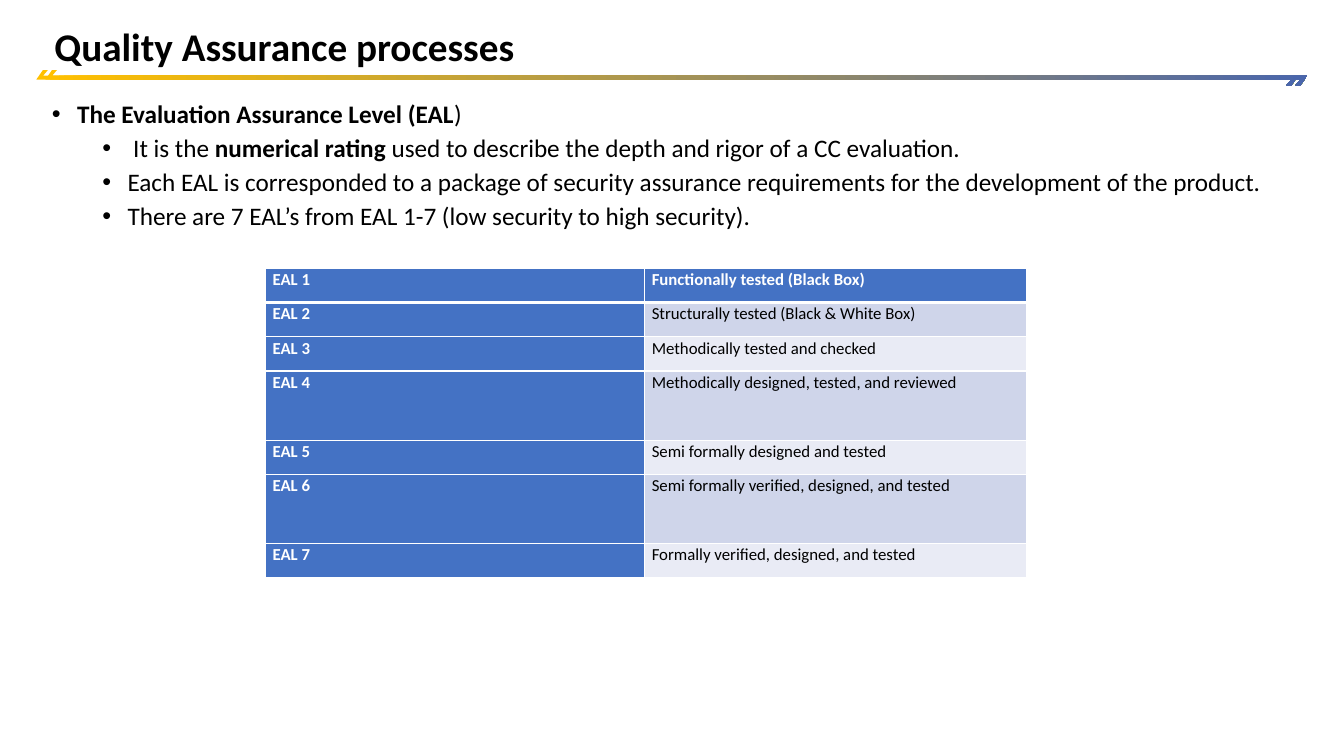
from lxml import etree
from pptx import Presentation, util as u
from pptx.dml.color import RGBColor
from pptx.enum import text
from pptx.oxml.ns import qn

TITLE = "Quality Assurance processes"
BULLETS = [
    (0, [("The Evaluation Assurance Level (EAL", True), (")", False)]),
    (1, [(" It is the ", False), ("numerical rating", True),
         (" used to describe the depth and rigor of a CC evaluation.", False)]),
    (1, [("Each EAL is corresponded to a package of security assurance "
          "requirements for the development of the product.", False)]),
    (1, [("There are 7 EAL’s from EAL 1-7 (low security to high security).", False)]),
]
LEVELS = [
    ("EAL 1", "Functionally tested (Black Box)", 24.5),
    ("EAL 2", "Structurally tested (Black & White Box)", 24.5),
    ("EAL 3", "Methodically tested and checked", 24.5),
    ("EAL 4", "Methodically designed, tested, and reviewed", 49.4),
    ("EAL 5", "Semi formally designed and tested", 24.5),
    ("EAL 6", "Semi formally verified, designed, and tested", 49.4),
    ("EAL 7", "Formally verified, designed, and tested", 24.5),
]
COLORS = {"gold": "FFC000", "navy": "4A66AC", "head": "4472C4", "odd": "CFD5EA",
          "even": "E9EBF5", "white": "FFFFFF", "black": "000000"}
FONT = "Calibri"
LEFT, WIDTH = 31.7, 895.7
RULE_W, RULE_H = 901.4, 11.5
RULE_TOP, RULE_LEFTS = 49.7, (25.9, 32.4)
HALF_RULE = [(5, 0), (8.6, 0), (5, 4.3), (RULE_W, 4.3)]
COLUMNS = (270.9, 273)


def rgb(name):
    return RGBColor.from_string(COLORS[name])


def style(r, size, bold, color="black"):
    r.font.name, r.font.size, r.font.bold = FONT, u.Pt(size), bold
    r.font.color.rgb = rgb(color)


def place(sp, left, top, width, height):
    sp.left, sp.top, sp.width, sp.height = map(u.Pt, (left, top, width, height))


def add_rule(s, left):
    outline = HALF_RULE + [(RULE_W - x, RULE_H - y) for x, y in HALF_RULE]
    pts = [(u.Pt(left + x), u.Pt(RULE_TOP + y)) for x, y in outline]
    fb = s.shapes.build_freeform(*pts[0], scale=1.0)
    fb.add_line_segments(pts[1:], close=True)
    sp = fb.convert_to_shape()
    sp.shadow.inherit = False
    sp.line.fill.background()
    sp.fill.gradient()
    sp.fill.gradient_angle = 0
    for stop, name in zip(sp.fill.gradient_stops, ("gold", "navy")):
        stop.color.rgb = rgb(name)


def add_bullet(p, level, runs):
    p.level, p.line_spacing = level, 0.9
    p.space_before = u.Pt(5 if level else 10)
    pPr = p._p.get_or_add_pPr()
    pPr.set("marL", str(u.Pt(54 if level else 18)))
    pPr.set("indent", str(u.Pt(-18)))
    etree.SubElement(pPr, qn("a:buFont")).set("typeface", "Arial")
    etree.SubElement(pPr, qn("a:buChar")).set("char", "•")
    for words, bold in runs:
        r = p.add_run()
        r.text = words
        style(r, 18, bold)


def add_border(cell, side, width):
    ln = etree.SubElement(cell._tc.get_or_add_tcPr(), qn("a:ln" + side))
    ln.set("w", str(u.Pt(width)))
    fill = etree.SubElement(ln, qn("a:solidFill"))
    etree.SubElement(fill, qn("a:srgbClr")).set("val", COLORS["white"])


def fill_cell(cell, words, row, col):
    head = row == 0 or col == 0
    cell.text = words
    cell.margin_left = cell.margin_right = u.Pt(5.4)
    cell.margin_top = cell.margin_bottom = 0
    p = cell.text_frame.paragraphs[0]
    p.line_spacing = 1.07
    style(p.runs[0], 12, head, "white" if head else "black")
    for side in "LRTB":
        thick = (row, side) in ((0, "B"), (1, "T"))
        add_border(cell, side, 3 if thick else 1)
    cell.fill.solid()
    cell.fill.fore_color.rgb = rgb("head" if head else "odd" if row % 2 else "even")


def main():
    prs = Presentation()
    prs.slide_width, prs.slide_height = u.Pt(960), u.Pt(540)
    s = prs.slides.add_slide(prs.slide_layouts[1])
    for left in RULE_LEFTS:
        add_rule(s, left)

    title, body = s.shapes.title, s.placeholders[1]
    place(title, LEFT, 0, WIDTH, 53.3)
    tf = title.text_frame
    tf.text = TITLE
    tf.auto_size = text.MSO_AUTO_SIZE.NONE
    tf.vertical_anchor = text.MSO_ANCHOR.BOTTOM
    p = tf.paragraphs[0]
    p.alignment, p.line_spacing = text.PP_ALIGN.LEFT, 0.9
    style(p.runs[0], 28, True)

    place(body, LEFT, 69.8, WIDTH, 440)
    tf = body.text_frame
    tf.auto_size = text.MSO_AUTO_SIZE.NONE
    tf.margin_left = tf.margin_right = u.Pt(5.4)
    tf.margin_top = tf.margin_bottom = u.Pt(2.7)
    for i, (level, runs) in enumerate(BULLETS):
        add_bullet(tf.add_paragraph() if i else tf.paragraphs[0], level, runs)

    height = sum(row[2] for row in LEVELS)
    table = s.shapes.add_table(len(LEVELS), len(COLUMNS), u.Pt(189.3), u.Pt(191.5),
                               u.Pt(sum(COLUMNS)), u.Pt(height)).table
    for column, width in zip(table.columns, COLUMNS):
        column.width = u.Pt(width)
    for i, (level, meaning, row_height) in enumerate(LEVELS):
        table.rows[i].height = u.Pt(row_height)
        for j, words in enumerate((level, meaning)):
            fill_cell(table.cell(i, j), words, i, j)

    prs.save("out.pptx")


if __name__ == "__main__":
    main()
